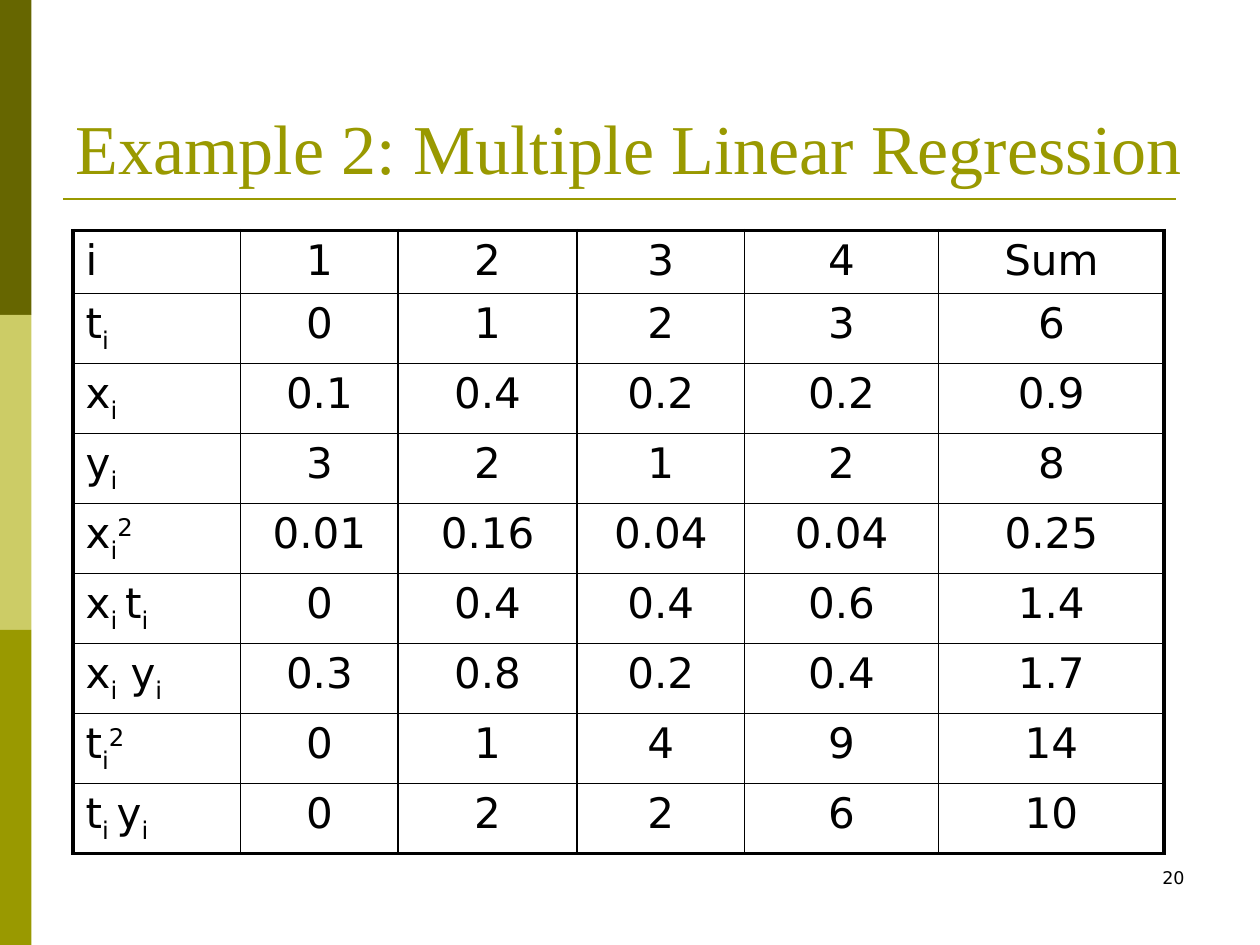
from lxml import etree
from pptx import Presentation
from pptx.dml.color import RGBColor
from pptx.enum.shapes import MSO_CONNECTOR, MSO_SHAPE
from pptx.enum.text import MSO_ANCHOR, MSO_AUTO_SIZE, PP_ALIGN
from pptx.oxml.ns import qn
from pptx.util import Inches, Pt

TITLE = "Example 2: Multiple Linear Regression"
PAGE = "20"
SUB, SUP = -25000, 30000
BAND_COLORS = ["666600", "CCCC66", "999900"]
ACCENT, BLACK = "999900", "000000"
TITLE_FONT, BODY_FONT = "Times New Roman", "DejaVu Sans"

# Each row: label as (text, baseline) runs, then its values
ROWS = [
    ([("i", 0)], ["1", "2", "3", "4", "Sum"]),
    ([("t", 0), ("i", SUB)], ["0", "1", "2", "3", "6"]),
    ([("x", 0), ("i", SUB)], ["0.1", "0.4", "0.2", "0.2", "0.9"]),
    ([("y", 0), ("i", SUB)], ["3", "2", "1", "2", "8"]),
    ([("x", 0), ("i", SUB), ("2", SUP)], ["0.01", "0.16", "0.04", "0.04", "0.25"]),
    ([("x", 0), ("i ", SUB), ("t", 0), ("i", SUB)], ["0", "0.4", "0.4", "0.6", "1.4"]),
    ([("x", 0), ("i", SUB), (" y", 0), ("i", SUB)], ["0.3", "0.8", "0.2", "0.4", "1.7"]),
    ([("t", 0), ("i", SUB), ("2", SUP)], ["0", "1", "4", "9", "14"]),
    ([("t", 0), ("i ", SUB), ("y", 0), ("i", SUB)], ["0", "2", "2", "6", "10"]),
]
COLUMN_WIDTHS = [1.33, 1.25, 1.42, 1.33, 1.54, 1.79]
ROW_HEIGHTS = [0.5] + [0.54] * (len(ROWS) - 1)
OUTER, INNER = 2.25, 1


def rgb(color):
    return RGBColor.from_string(color)


def write(paragraph, runs, font, size, color, align):
    for text, baseline in runs:
        run = paragraph.add_run()
        run.text = text
        if baseline:
            run._r.get_or_add_rPr().set("baseline", str(baseline))
    paragraph.alignment = align
    paragraph.font.name = font
    paragraph.font.size = Pt(size)
    paragraph.font.color.rgb = rgb(color)


def set_borders(cell, widths):
    """Draw the left, right, top and bottom borders, widths in points."""
    properties = cell._tc.get_or_add_tcPr()
    for side, width in zip(("a:lnL", "a:lnR", "a:lnT", "a:lnB"), widths):
        line = etree.SubElement(properties, qn(side), w=str(Pt(width)))
        fill = etree.SubElement(line, qn("a:solidFill"))
        etree.SubElement(fill, qn("a:srgbClr"), val=BLACK)


def add_decoration(slide):
    height = 7.5 / len(BAND_COLORS)
    for i, color in enumerate(BAND_COLORS):
        band = slide.shapes.add_shape(MSO_SHAPE.RECTANGLE, 0, Inches(i * height),
                                      Inches(0.25), Inches(height))
        band.shadow.inherit = False
        band.fill.solid()
        band.fill.fore_color.rgb = rgb(color)
        band.line.fill.background()
    rule = slide.shapes.add_connector(MSO_CONNECTOR.STRAIGHT, Inches(0.5), Inches(1.58),
                                      Inches(9.33), Inches(1.58))
    rule.line.color.rgb = rgb(ACCENT)
    rule.line.width = Pt(1.5)
    etree.SubElement(rule._element.spPr, qn("a:effectLst"))


def add_title(slide):
    title = slide.shapes.title
    title.left, title.top = Inches(0.5), Inches(0.3)
    title.width, title.height = Inches(9), Inches(1.25)
    frame = title.text_frame
    frame.auto_size = MSO_AUTO_SIZE.NONE
    frame.vertical_anchor = MSO_ANCHOR.BOTTOM
    write(frame.paragraphs[0], [(TITLE, 0)], TITLE_FONT, 40, ACCENT, PP_ALIGN.LEFT)


def add_page_number(slide):
    page = slide.shapes.add_textbox(Inches(7.17), Inches(6.83), Inches(2.33), Inches(0.5))
    page.text_frame.word_wrap = True
    write(page.text_frame.paragraphs[0], [(PAGE, 0)], BODY_FONT, 10, BLACK, PP_ALIGN.RIGHT)


def add_sums_table(slide):
    last_row, last_column = len(ROWS) - 1, len(COLUMN_WIDTHS) - 1
    table = slide.shapes.add_table(
        len(ROWS), len(COLUMN_WIDTHS), Inches(0.58), Inches(1.83),
        Inches(sum(COLUMN_WIDTHS)), Inches(sum(ROW_HEIGHTS))).table
    table.first_row = table.horz_banding = False
    for column, width in zip(table.columns, COLUMN_WIDTHS):
        column.width = Inches(width)
    for row, height in zip(table.rows, ROW_HEIGHTS):
        row.height = Inches(height)
    for r, (label, values) in enumerate(ROWS):
        for c, runs in enumerate([label] + [[(value, 0)] for value in values]):
            cell = table.cell(r, c)
            paragraph = cell.text_frame.paragraphs[0]
            write(paragraph, runs, BODY_FONT, 24, BLACK,
                  PP_ALIGN.CENTER if c else PP_ALIGN.LEFT)
            paragraph.space_before = Pt(4.8)
            on_edge = (c == 0, c == last_column, r == 0, r == last_row)
            set_borders(cell, [OUTER if edge else INNER for edge in on_edge])
            cell.fill.background()


def main():
    deck = Presentation()
    deck.slide_width, deck.slide_height = Inches(10), Inches(7.5)
    slide = deck.slides.add_slide(deck.slide_layouts[5])
    add_decoration(slide)
    add_page_number(slide)
    add_title(slide)
    add_sums_table(slide)
    deck.save("out.pptx")


if __name__ == "__main__":
    main()
